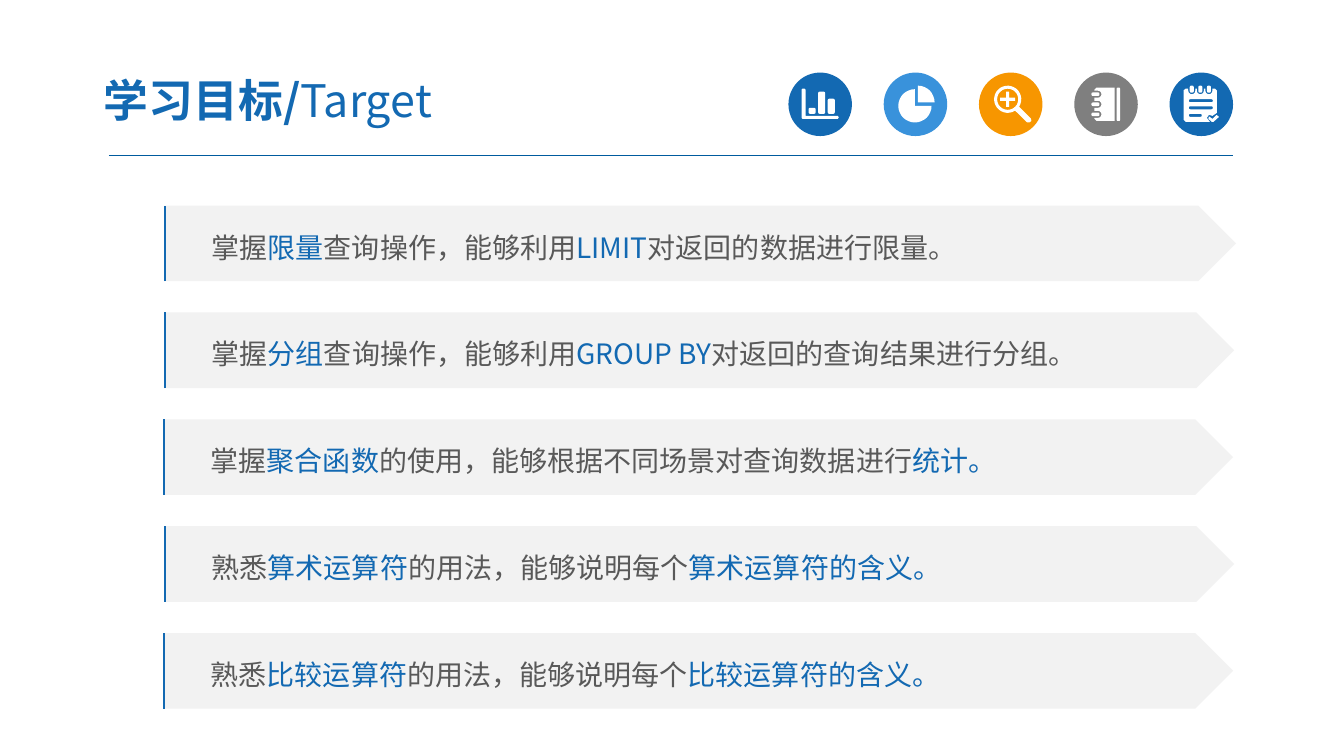
from math import cos, radians, sin
from lxml.etree import SubElement
from pptx import Presentation
from pptx.dml.color import RGBColor
from pptx.enum.shapes import MSO_CONNECTOR, MSO_SHAPE as Kind
from pptx.enum.text import MSO_ANCHOR, MSO_AUTO_SIZE, PP_ALIGN
from pptx.oxml.ns import qn
from pptx.util import Inches, Pt

FONT = "Noto Sans CJK SC"
BLUE, SKY, AMBER, GRAY = "1369B2", "3992DB", "F79600", "7F7F7F"
WHITE, PALE, INK, RULE = "FFFFFF", "F2F2F2", "595959", "005B9E"

# Goals: left edge, width, then plain and highlighted words in turn
GOALS = [
    (1.63, 10.63, ["掌握", "限量", "查询操作，能够利用", "LIMIT",
                   "对返回的数据进行限量。"]),
    (1.63, 10.61, ["掌握", "分组", "查询操作，能够利用", "GROUP BY",
                   "对返回的查询结果进行分组。"]),
    (1.62, 10.61, ["掌握", "聚合函数",
                   "的使用，能够根据不同场景对查询数据进行", "统计。"]),
    (1.63, 10.61, ["熟悉", "算术运算符", "的用法，能够说明每个",
                   "算术运算符的含义。"]),
    (1.62, 10.61, ["熟悉", "比较运算符", "的用法，能够说明每个",
                   "比较运算符的含义。"]),
]


# Outlines on a 63-unit grid; angles run clockwise from the right
def arc(x, y, r, start, end, steps):
    turns = [radians(start + (end - start) * i / steps)
             for i in range(steps + 1)]
    return [(x + r * cos(t), y + r * sin(t)) for t in turns]


def slab(x, y, w, h, r=1.5):
    corners = [(x + w - r, y + h - r, 0), (x + r, y + h - r, 90),
               (x + r, y + r, 180), (x + w - r, y + r, 270)]
    return [p for cx, cy, a in corners for p in arc(cx, cy, r, a, a + 90, 2)]


CHART = [[(13, 17), (14, 16), (16, 16), (17, 17), (17, 43), (49, 43),
          (50, 44.5), (49, 46), (14, 46), (13, 45)]]
CHART += [slab(x, y, 7, 41 - y)
          for x, y in [(20, 35), (29.5, 19), (39, 26)]]

PIE = [[(31, 33)] + arc(31, 33, 16.5, 0, 270, 24),
       [(34, 29.5)] + arc(34, 29.5, 16.5, -90, 0, 8)]

LENS = [arc(28.5, 26.5, 13.5, 57, 393, 28)
        + [(51.5, 45.5), (52, 48), (50, 49.5), (47.5, 49.3)],
        arc(28.5, 26.5, 10.5, 0, 360, 24),
        [(27, 19), (30, 19), (30, 25), (36, 25), (36, 28), (30, 28),
         (30, 34), (27, 34), (27, 28), (21, 28), (21, 25), (27, 25)]]

cover = [(20, 17), (22, 15), (40, 15), (40, 48), (22, 48), (20, 46)]
BOOK = [cover, slab(42, 15, 3.5, 33, 1)]
for y in (41.5, 31.5, 21.5):
    cover += [(20, y + 3.5)] + arc(23.5, y, 3.5, 90, -90, 6) + [(20, y - 3.5)]
    BOOK.append(slab(17, y - 1.8, 8, 3.6))

page = [(14, 17.5), (16, 16)]
LIST = [page] + [slab(19, y, w, 3)
                 for y, w in [(26.5, 24), (33.5, 24), (41, 13)]]
for x in (22, 30.5, 39):
    page += [(x - 3.5, 16)] + arc(x, 18, 3.5, 180, 0, 6) + [(x + 3.5, 16)]
    LIST.append(slab(x - 2, 13, 4, 7))
page += [(45, 16), (47, 18), (47, 40), (42.5, 43), (39, 42), (37, 45),
         (40, 49), (16, 49), (14, 47)]
LIST.append([(39, 43.5), (42.5, 46), (46.5, 42), (49, 44),
             (43.5, 49), (42, 49), (38.5, 46)])

ICONS = [(BLUE, CHART), (SKY, PIE), (AMBER, LENS), (GRAY, BOOK), (BLUE, LIST)]


def rgb(hue):
    return RGBColor.from_string(hue)


def paint(shape, hue):
    shape.shadow.inherit = False
    shape.fill.solid()
    shape.fill.fore_color.rgb = rgb(hue)
    shape.line.fill.background()
    return shape


def start_path(shapes, x, y):
    return shapes.build_freeform(x * 1000, y * 1000, scale=914.4)


def mils(points):
    return [(x * 1000, y * 1000) for x, y in points]


def add_run(para, text, size, hue, bold=False):
    run = para.add_run()
    run.text = text
    font = run.font
    font.size, font.bold, font.name = Pt(size), bold, FONT
    font.color.rgb = rgb(hue)
    SubElement(font._element, qn("a:ea")).set("typeface", FONT)


def add_rule(slide):
    rule = slide.shapes.add_connector(
        MSO_CONNECTOR.STRAIGHT, *map(Inches, (1.08, 1.54, 12.23, 1.54)))
    rule.line.color.rgb = rgb(RULE)
    rule.line.width = Pt(0.75)
    SubElement(rule._element.spPr, qn("a:effectLst"))


def add_title(slide):
    title = slide.shapes.title
    title.left, title.top, title.width, title.height = map(
        Inches, (0.9, 0.63, 5.22, 0.72))
    frame = title.text_frame
    frame.auto_size = MSO_AUTO_SIZE.NONE
    frame.vertical_anchor = MSO_ANCHOR.MIDDLE
    frame.margin_left = frame.margin_right = Inches(0.13)
    frame.margin_top = frame.margin_bottom = Inches(0.07)
    para = frame.paragraphs[0]
    para.alignment = PP_ALIGN.LEFT
    add_run(para, "学习目标/", 32, BLUE, True)
    add_run(para, "Target", 32, BLUE)


def add_icons(slide, left=7.82, top=0.72, size=0.63, step=0.945):
    for i, (hue, outlines) in enumerate(ICONS):
        x0 = left + i * step
        shapes = slide.shapes.add_group_shape().shapes
        disc = map(Inches, (x0, top, size, size))
        paint(shapes.add_shape(Kind.OVAL, *disc), hue)
        # All outlines form one glyph, inner ones cut holes
        glyph = None
        for outline in outlines:
            points = [(x0 + x * size / 63, top + y * size / 63)
                      for x, y in outline]
            if glyph is None:
                glyph = start_path(shapes, *points[0])
            else:
                glyph.move_to(*mils(points)[0])
            glyph.add_line_segments(mils(points[1:]), close=True)
        paint(glyph.convert_to_shape(), WHITE)


def add_goals(slide, top=2.04, height=0.75, step=1.06):
    for i, (left, width, words) in enumerate(GOALS):
        y = top + i * step
        shapes = slide.shapes.add_group_shape().shapes
        box = map(Inches, (left, y, width, height))
        arrow = paint(shapes.add_shape(Kind.PENTAGON, *box), PALE)
        frame = arrow.text_frame
        frame.word_wrap = True
        frame.vertical_anchor = MSO_ANCHOR.MIDDLE
        frame.margin_left = Inches(0.47)
        para = frame.paragraphs[0]
        para.alignment = PP_ALIGN.LEFT
        para.line_spacing = 1.2
        for j, word in enumerate(words):
            add_run(para, word, 20, BLUE if j % 2 else INK)
        # Edge stroke at the left of a narrow frame
        x = left + 0.01
        edge = start_path(shapes, x + 0.16, y)
        edge.move_to(x * 1000, (y + height) * 1000)
        edge.add_line_segments(mils([(x, y)]), close=False)
        stroke = edge.convert_to_shape()
        stroke.shadow.inherit = False
        stroke.fill.background()
        stroke.line.color.rgb = rgb(BLUE)
        stroke.line.width = Pt(1.5)


def main():
    deck = Presentation()
    deck.slide_width, deck.slide_height = Inches(13.33), Inches(7.5)
    slide = deck.slides.add_slide(deck.slide_layouts[5])
    add_rule(slide)
    add_icons(slide)
    add_title(slide)
    add_goals(slide)
    deck.save("out.pptx")


if __name__ == "__main__":
    main()
